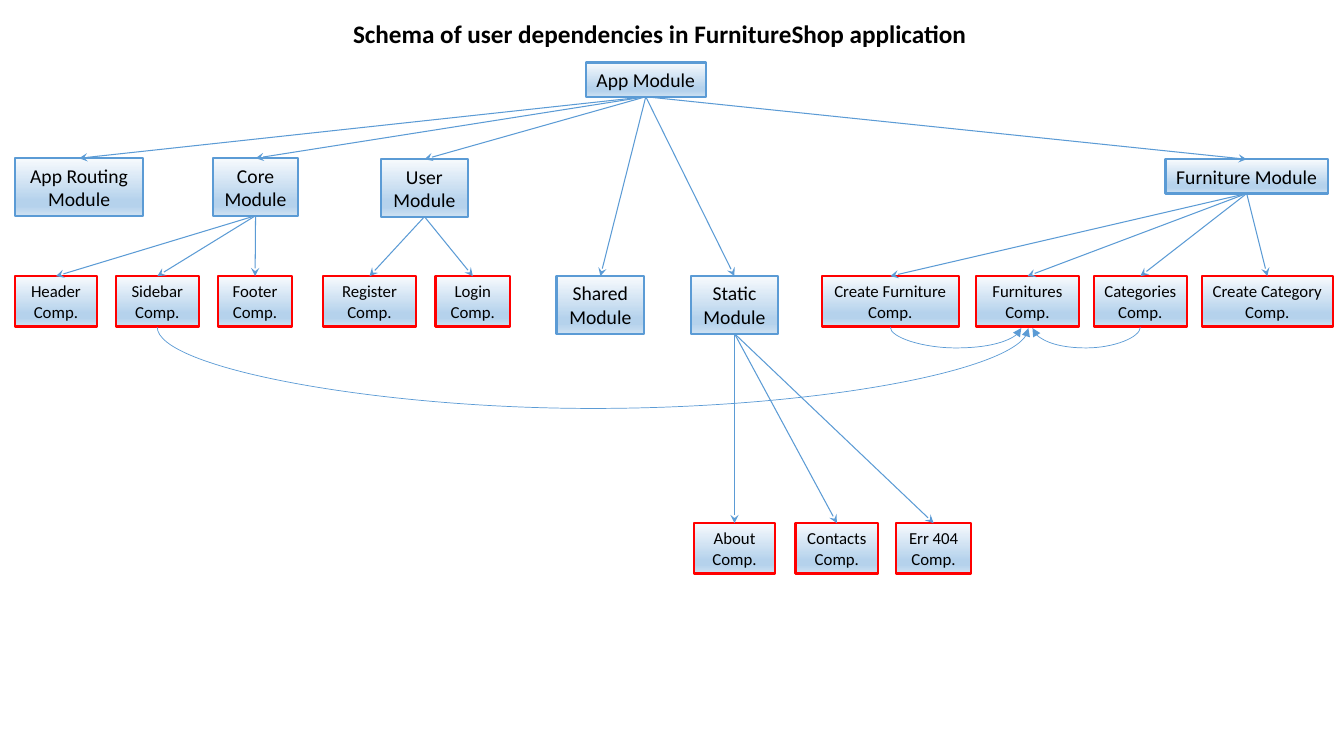
from lxml.etree import SubElement
from pptx import Presentation
from pptx.dml.color import RGBColor
from pptx.enum.shapes import MSO_CONNECTOR, MSO_SHAPE
from pptx.enum.text import MSO_ANCHOR, MSO_AUTO_SIZE, PP_ALIGN
from pptx.oxml.ns import qn
from pptx.util import Inches, Pt

# Content
TITLE = "Schema of user dependencies in FurnitureShop application"
COLORS = {"text": "000000", "module": "5B9BD5", "component": "FF0000", "arrow": "5B9BD5"}
GRADIENT = [(0, "F7FAFD"), (74, "B5D2EC"), (83, "B5D2EC"), (100, "CEE1F2")]
FONT = "Calibri"

# Modules: name, left, top, width, number of text lines
MODULES = [
    ("App Module", 5.81, 0.62, 1.19, 1),
    ("App Routing Module", 0.15, 1.57, 1.27, 2),
    ("Core Module", 2.11, 1.57, 0.85, 2),
    ("User Module", 3.78, 1.58, 0.86, 2),
    ("Shared Module", 5.52, 2.74, 0.87, 2),
    ("Static Module", 6.85, 2.74, 0.87, 2),
    ("Furniture Module", 11.56, 1.58, 1.61, 1),
]
MODULE_HEIGHTS = {1: 0.34, 2: 0.57}

# Components: row top, then name, left, width
COMPONENT_HEIGHT = 0.5
COMPONENT_ROWS = {
    2.74: [
        ("Header Comp.", 0.15, 0.81),
        ("Sidebar Comp.", 1.15, 0.82),
        ("Footer Comp.", 2.16, 0.74),
        ("Register Comp.", 3.2, 0.93),
        ("Login Comp.", 4.32, 0.74),
        ("Create Furniture Comp.", 8.15, 1.36),
        ("Furnitures Comp.", 9.68, 1.02),
        ("Categories Comp.", 10.85, 0.92),
        ("Create Category Comp.", 11.92, 1.3),
    ],
    5.19: [
        ("About Comp.", 6.88, 0.81),
        ("Contacts Comp.", 7.89, 0.82),
        ("Err 404 Comp.", 8.89, 0.74),
    ],
}
CHILDREN = {
    "App Module": ["App Routing Module", "Core Module", "User Module",
                   "Shared Module", "Static Module", "Furniture Module"],
    "Core Module": ["Header Comp.", "Sidebar Comp.", "Footer Comp."],
    "User Module": ["Register Comp.", "Login Comp."],
    "Furniture Module": ["Create Furniture Comp.", "Furnitures Comp.",
                         "Categories Comp.", "Create Category Comp."],
    "Static Module": ["About Comp.", "Contacts Comp.", "Err 404 Comp."],
}
# Curved links: source, target, shift from the target's centre, depth of the bend
CURVES = [
    ("Categories Comp.", "Furnitures Comp.", 0.05, 0.21),
    ("Create Furniture Comp.", "Furnitures Comp.", -0.06, 0.21),
    ("Sidebar Comp.", "Furnitures Comp.", 0.01, 0.82),
]
CURVE_RISE = 0.01
BOTTOM_SITE, TOP_SITE = 2, 0


def assign(target, values):
    for name, value in values.items():
        setattr(target, name, value)


def write(shape, text, size, bold, anchor, spacing=None):
    frame = shape.text_frame
    frame.text = text
    frame.vertical_anchor = anchor
    para = frame.paragraphs[0]
    assign(para, {"alignment": PP_ALIGN.CENTER, "line_spacing": spacing})
    font = para.runs[0].font
    assign(font, {"name": FONT, "size": Pt(size), "bold": bold})
    font.color.rgb = RGBColor.from_string(COLORS["text"])


def add_box(page, kind, text, left, top, width, height, size, wrap=True):
    box = page.shapes.add_shape(MSO_SHAPE.RECTANGLE, *map(Inches, (left, top, width, height)))
    box.shadow.inherit = False
    box.fill.gradient()
    box.fill.gradient_angle = 270
    stops = box._element.spPr.find(qn("a:gradFill")).find(qn("a:gsLst"))
    for stop in list(stops):
        stops.remove(stop)
    for percent, color in GRADIENT:
        stop = SubElement(stops, qn("a:gs"), pos=str(percent * 1000))
        SubElement(stop, qn("a:srgbClr"), val=color)
    box.line.color.rgb = RGBColor.from_string(COLORS[kind])
    box.line.width = Pt(1.5)
    write(box, text, size, False, MSO_ANCHOR.MIDDLE)
    assign(box.text_frame, {"word_wrap": wrap, "auto_size": MSO_AUTO_SIZE.SHAPE_TO_FIT_TEXT})
    return box


def style_arrow(arrow, width, head):
    arrow.line.color.rgb = RGBColor.from_string(COLORS["arrow"])
    arrow.line.width = Pt(width)
    properties = arrow._element.spPr
    SubElement(properties.find(qn("a:ln")), qn("a:tailEnd"), type=head)
    SubElement(properties, qn("a:effectLst"))


def add_curve(page, source, target, shift, depth):
    start = (source.left + source.width / 2) / Inches(1)
    end = (target.left + target.width / 2) / Inches(1) + shift
    middle = (start + end) / 2
    bottom = (source.top + source.height) / Inches(1) + 0.01
    span = abs(end - start)
    # The connector is laid out upright, then turned so that it bends downwards
    left, right = middle - CURVE_RISE / 2, middle + CURVE_RISE / 2
    rightwards = end > start
    if rightwards:
        left, right = right, left
    curve = page.shapes.add_connector(
        MSO_CONNECTOR.CURVE,
        *map(Inches, (left, bottom - span / 2, right, bottom + span / 2)))
    properties = curve._element.spPr
    turn = 270 if rightwards else 90
    properties.find(qn("a:xfrm")).set("rot", str(turn * 60000))
    geometry = properties.find(qn("a:prstGeom"))
    guides = geometry.find(qn("a:avLst"))
    if guides is None:
        guides = SubElement(geometry, qn("a:avLst"))
    bend = round(depth / CURVE_RISE * 100000)
    SubElement(guides, qn("a:gd"), name="adj1", fmla=f"val {bend}")
    style_arrow(curve, 0.5, "triangle")


def main():
    deck = Presentation()
    assign(deck, {"slide_width": Inches(13.33), "slide_height": Inches(7.5)})
    page = deck.slides.add_slide(deck.slide_layouts[5])

    # Title
    title = page.shapes.title
    assign(title, {"left": Inches(2.76), "top": Inches(0.07),
                   "width": Inches(7.57), "height": Inches(0.47)})
    write(title, TITLE, 18, True, MSO_ANCHOR.BOTTOM, 0.9)

    # Boxes
    boxes = {}
    for name, left, top, width, lines in MODULES:
        boxes[name] = add_box(page, "module", name, left, top, width,
                              MODULE_HEIGHTS[lines], 14, lines > 1)
    for top, row in COMPONENT_ROWS.items():
        for name, left, width in row:
            boxes[name] = add_box(page, "component", name, left, top, width,
                                  COMPONENT_HEIGHT, 12)

    # Straight arrows from each module to its children
    for parent, children in CHILDREN.items():
        for child in children:
            arrow = page.shapes.add_connector(MSO_CONNECTOR.STRAIGHT, 0, 0, 0, 0)
            arrow.begin_connect(boxes[parent], BOTTOM_SITE)
            arrow.end_connect(boxes[child], TOP_SITE)
            style_arrow(arrow, 0.75, "stealth")

    # Curved links between components
    for source, target, shift, depth in CURVES:
        add_curve(page, boxes[source], boxes[target], shift, depth)

    deck.save("out.pptx")


if __name__ == "__main__":
    main()
